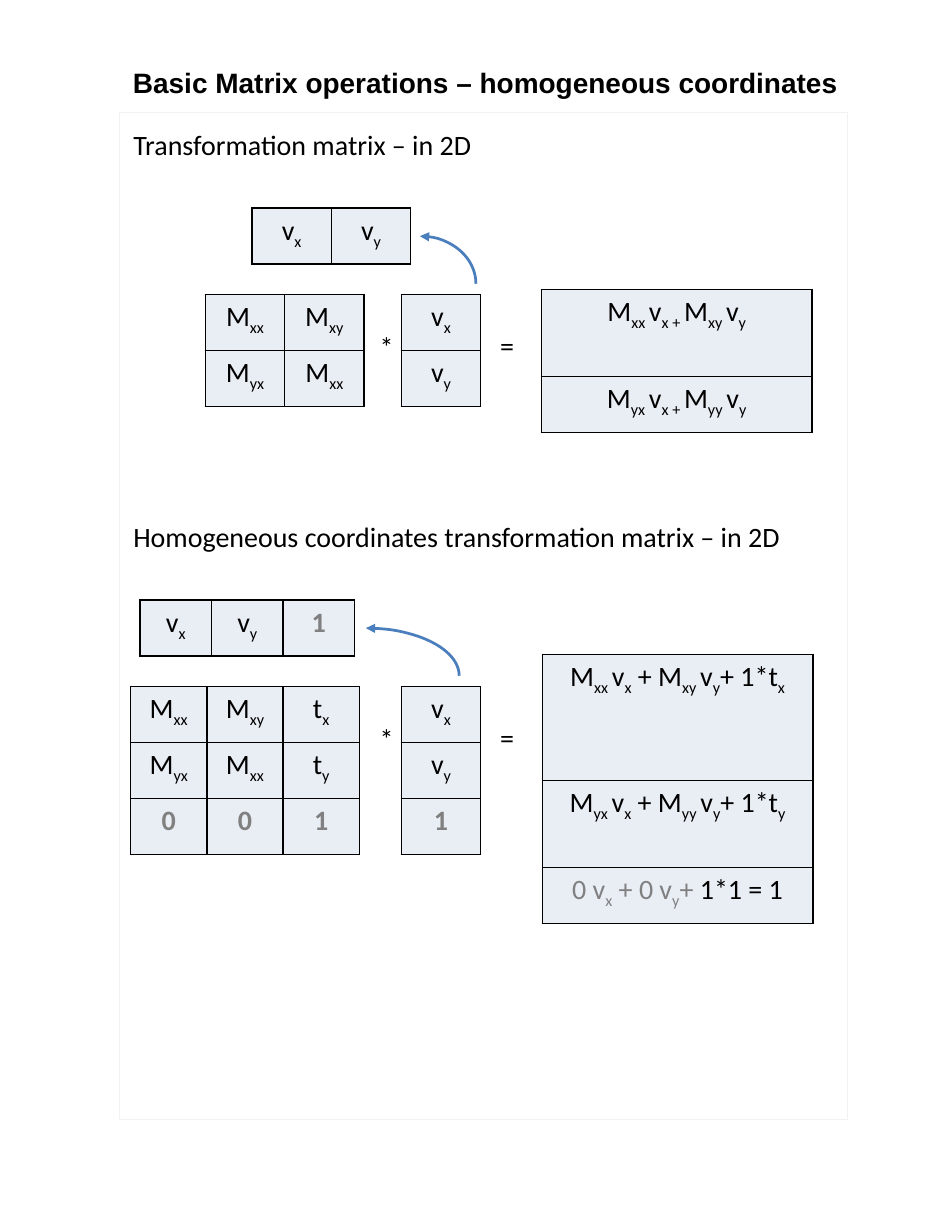
import dataclasses

import lxml.etree
import pptx
import pptx.dml.color
import pptx.enum.shapes
import pptx.enum.text
import pptx.oxml.ns
import pptx.util

qn = pptx.oxml.ns.qn
SHAPE = pptx.enum.shapes.MSO_SHAPE
ALIGN = pptx.enum.text.PP_ALIGN


@dataclasses.dataclass(frozen=True)
class Theme:
    ink: str = "000000"
    muted: str = "808080"
    cell: str = "E9EDF4"
    frame: str = "F2F2F2"
    arrow: str = "4B7EBC"
    body_font: str = "Calibri"
    title_font: str = "Arial"
    size: int = 18
    subscript: str = "-25000"


class Page:
    """Draws on one slide; all lengths are columns and rows of a 102 x 132 grid."""
    COLS, ROWS = 102, 132

    def __init__(self, prs, theme):
        self.s = prs.slides.add_slide(prs.slide_layouts[6])
        self.theme = theme
        self.col = prs.slide_width / self.COLS
        self.row = prs.slide_height / self.ROWS

    def box(self, x, y, w, h):
        return [round(n) for n in (x * self.col, y * self.row, w * self.col, h * self.row)]

    def rgb(self, value):
        return pptx.dml.color.RGBColor.from_string(value)

    def add_runs(self, p, text, color=None, **fmt):
        """Add runs to a paragraph; parts in braces become subscripts."""
        t = self.theme
        fmt = {"name": t.body_font, "size": pptx.util.Pt(t.size), "bold": False, **fmt}
        for i, part in enumerate(text.replace("}", "{").split("{")):
            if not part:
                continue
            r = p.add_run()
            r.text = part
            for key, value in fmt.items():
                setattr(r.font, key, value)
            r.font.color.rgb = self.rgb(color or t.ink)
            if i % 2:
                r.font._element.set("baseline", t.subscript)

    def text(self, x, y, w, h, text):
        tf = self.s.shapes.add_textbox(*self.box(x, y, w, h)).text_frame
        tf.word_wrap = False
        self.add_runs(tf.paragraphs[0], text)

    def title(self, x, y, w, h, text):
        tf = self.s.shapes.add_textbox(*self.box(x, y, w, h)).text_frame
        for key in ("margin_left", "margin_top", "margin_right", "margin_bottom"):
            setattr(tf, key, 0)
        tf.word_wrap = True
        tf.paragraphs[0].alignment = ALIGN.CENTER
        self.add_runs(tf.paragraphs[0], text, name=self.theme.title_font, bold=True)

    def outline(self, kind, x, y, w, h, color, width):
        sp = self.s.shapes.add_shape(kind, *self.box(x, y, w, h))
        sp.shadow.inherit = False
        sp.fill.background()
        sp.line.color.rgb = self.rgb(color)
        sp.line.width = pptx.util.Pt(width)
        return sp

    def frame(self, *at):
        self.outline(SHAPE.RECTANGLE, *at, self.theme.frame, 0.5)

    def arc_arrow(self, *at):
        sp = self.outline(SHAPE.ARC, *at, self.theme.arrow, 1.75)
        ln = sp.line._get_or_add_ln()
        lxml.etree.SubElement(ln, qn("a:headEnd"), type="triangle")

    def border(self, cell):
        tc_pr = cell._tc.get_or_add_tcPr()
        for side in ("lnL", "lnR", "lnT", "lnB"):
            ln = lxml.etree.SubElement(tc_pr, qn("a:" + side), w=str(pptx.util.Pt(1)))
            fill = lxml.etree.SubElement(ln, qn("a:solidFill"))
            lxml.etree.SubElement(fill, qn("a:srgbClr"), val=self.theme.ink)

    def matrix(self, x, y, w, cells, heights=None):
        """Table with equal columns; a cell is text or a list of (text, format)."""
        heights = heights or [6] * len(cells)
        gf = self.s.shapes.add_table(len(cells), len(cells[0]),
                                     *self.box(x, y, w, sum(heights)))
        table = gf.table
        table.first_row = table.horz_banding = False
        for row, height, texts in zip(table.rows, heights, cells):
            row.height = round(height * self.row)
            for cell, content in zip(row.cells, texts):
                self.border(cell)
                cell.fill.solid()
                cell.fill.fore_color.rgb = self.rgb(self.theme.cell)
                p = cell.text_frame.paragraphs[0]
                p.alignment = ALIGN.CENTER
                runs = [(content, {})] if isinstance(content, str) else content
                for text, fmt in runs:
                    self.add_runs(p, text, **fmt)

    def equation(self, top, heading, width, factor, vector, row_vector, arc):
        """Heading, matrix * vector =, and the vector laid out as a row."""
        factor_x, factor_w, cells = factor
        row_x, row_w = row_vector
        arc_x, arc_w = arc
        self.text(13.1, top, width, 4.8, heading)
        self.matrix(factor_x, top + 18.45, factor_w, cells)
        self.matrix(43, top + 18.45, 8.5, [[v] for v in vector])
        self.matrix(row_x, top + 9.2, row_w, [vector])
        self.arc_arrow(arc_x, top + 12.2, arc_w, 10.2)
        self.text(39.5, top + 21.6, 3.6, 4.8, "*")
        self.text(52.4, top + 21.5, 4.2, 4.8, "=")


def main():
    prs = pptx.Presentation()
    prs.slide_width, prs.slide_height = pptx.util.Inches(8.5), pptx.util.Inches(11)
    theme = Theme()
    page = Page(prs, theme)
    muted = {"color": theme.muted}
    zero, one = ([(digit, {**muted, "bold": True})] for digit in "01")

    page.frame(12.85, 12, 78, 107.9)
    page.title(13, 7, 78, 3.6, "Basic Matrix operations – homogeneous coordinates")

    linear = [["M{xx}", "M{xy}"], ["M{yx}", "M{xx}"]]
    vector = ["v{x}", "v{y}"]
    page.equation(13.1, "Transformation matrix – in 2D", 42.4,
                  (22, 17, linear), vector, (27, 17), (39, 12))
    page.matrix(58, 31, 29, [["M{xx }v{x + }M{xy }v{y}"],
                             ["M{yx }v{x + }M{yy }v{y}"]], [9.33, 6])

    shift = ["t{x}", "t{y}"]
    homogeneous = [row + [t] for row, t in zip(linear, shift)] + [[zero, zero, one]]
    page.equation(55.1, "Homogeneous coordinates transformation matrix – in 2D", 79.3,
                  (14, 24.5, homogeneous), vector + [one], (15, 23), (29.2, 20))
    page.matrix(58.1, 70.1, 29, [["M{xx }v{x} + M{xy }v{y}+ 1*t{x}"],
                                 ["M{yx }v{x} + M{yy }v{y}+ 1*t{y}"],
                                 [[("0 v{x} + 0 v{y}+ ", muted), ("1*1 = 1", {})]]],
                [13.5, 9.33, 6])
    prs.save("out.pptx")


if __name__ == "__main__":
    main()
